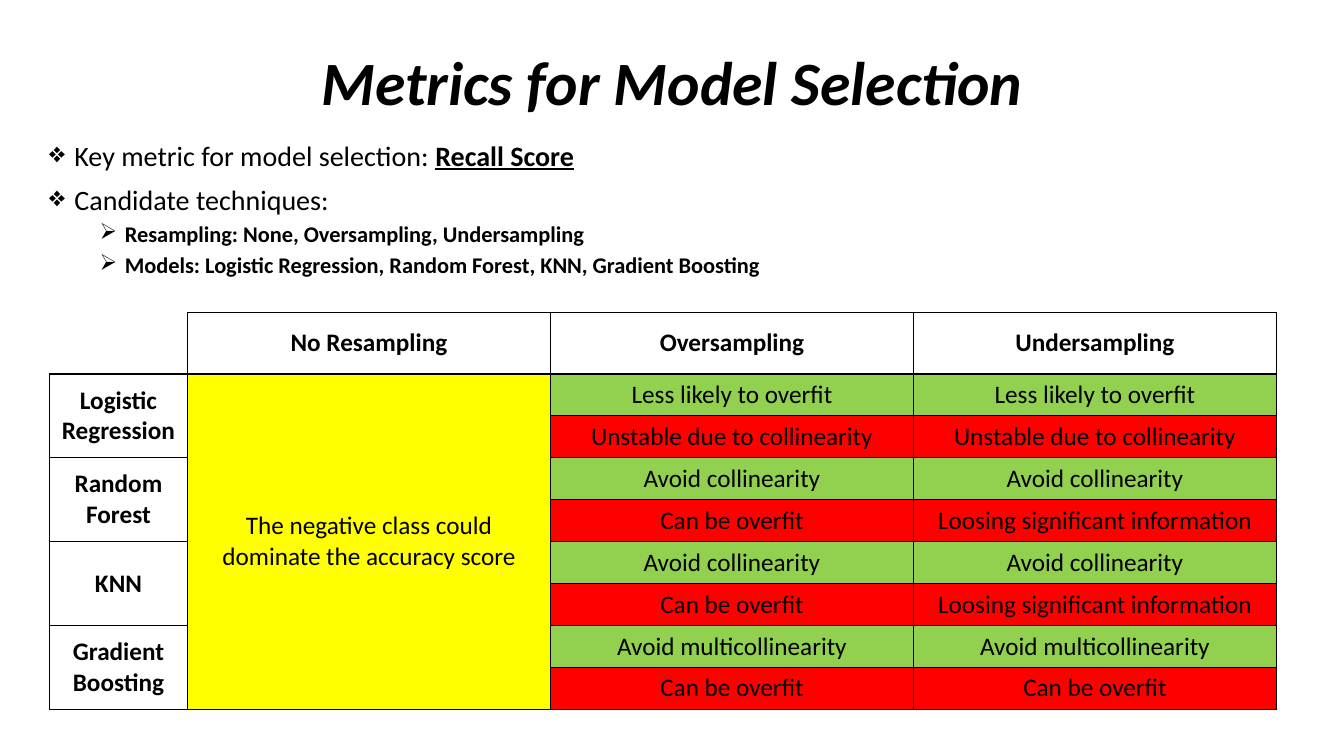
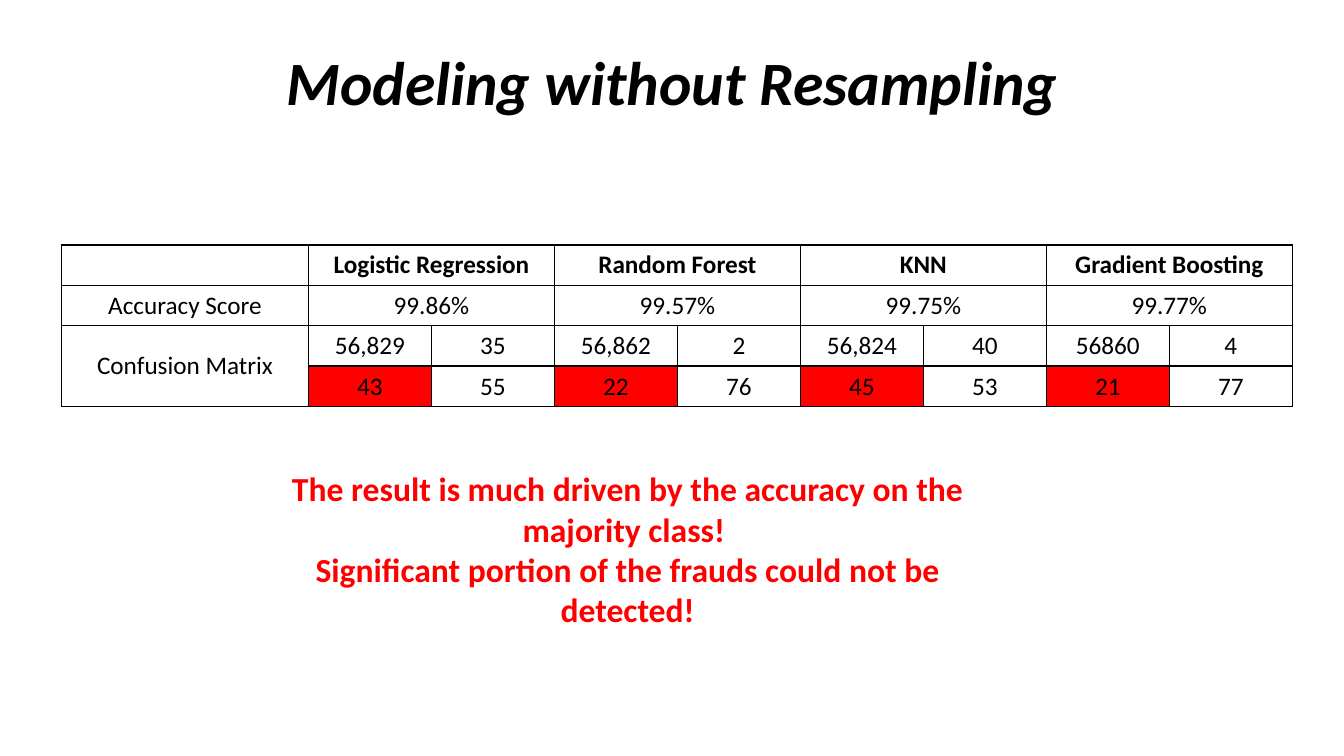
from lxml import etree
from pptx import Presentation, util as u
from pptx.dml.color import RGBColor
from pptx.enum import text as t
from pptx.oxml import ns

BLACK = RGBColor(0, 0, 0)
RED = RGBColor(255, 0, 0)
GREEN = RGBColor(0x92, 0xD0, 0x50)
YELLOW = RGBColor(255, 255, 0)
CENTER = t.PP_ALIGN.CENTER
MIDDLE = t.MSO_ANCHOR.MIDDLE
BASE = {"name": "Calibri", "size": u.Pt(18), "bold": False}


def write(para, words, color=BLACK, **form):
    run = para.add_run()
    run.text = words
    for key, value in {**BASE, **form}.items():
        setattr(run.font, key, value)
    run.font.color.rgb = color


def grid(page, left, top, cols, rows, cells, edges):
    frame = page.shapes.add_table(
        len(rows), len(cols), u.Inches(left), u.Inches(top),
        u.Inches(sum(cols)), u.Inches(sum(rows)))
    table = frame.table
    table.first_row = table.horz_banding = False
    for col, width in zip(table.columns, cols):
        col.width = u.Inches(width)
    for row, height in zip(table.rows, rows):
        row.height = u.Inches(height)
    for r in range(len(rows)):
        for c in range(len(cols)):
            cell = table.cell(r, c)
            props = cell._tc.get_or_add_tcPr()
            for side in "LRTB":
                line = etree.SubElement(props, ns.qn("a:ln" + side), w="12700")
                if side in edges.get((r, c), "LRTB"):
                    ink = etree.SubElement(line, ns.qn("a:solidFill"))
                    etree.SubElement(ink, ns.qn("a:srgbClr"), val=str(BLACK))
                else:
                    etree.SubElement(line, ns.qn("a:noFill"))
            cell.fill.background()
    for (r, c), (words, bold, fill, high, wide) in cells.items():
        cell = table.cell(r, c)
        if high * wide > 1:
            cell.merge(table.cell(r + high - 1, c + wide - 1))
        cell.vertical_anchor = MIDDLE
        if fill:
            cell.fill.solid()
            cell.fill.fore_color.rgb = fill
        para = cell.text_frame.paragraphs[0]
        para.alignment = CENTER
        write(para, words, bold=bold)


deck = Presentation()
deck.slide_width = u.Inches(13.33)
deck.slide_height = u.Inches(7.5)
pages = []
for title in ["Metrics for Model Selection", "Modeling without Resampling"]:
    page = deck.slides.add_slide(deck.slide_layouts[6])
    box = page.shapes.add_textbox(
        u.Inches(0.92), u.Inches(0.31), u.Inches(11.5), u.Inches(1.07))
    box.text_frame.word_wrap = True
    box.text_frame.vertical_anchor = MIDDLE
    para = box.text_frame.paragraphs[0]
    para.alignment = CENTER
    para.line_spacing = 0.9
    write(para, title, size=u.Pt(44), bold=True, italic=True)
    pages.append(page)
first, second = pages

models = ["Logistic Regression", "Random Forest", "KNN", "Gradient Boosting"]
ways = ["No Resampling", "Oversampling", "Undersampling"]

points = [
    (0, [("Key metric for model selection: ", {}),
         ("Recall Score", {"bold": True, "underline": True})]),
    (0, [("Candidate techniques:", {})]),
    (1, [("Resampling: None, Oversampling, Undersampling", {"bold": True})]),
    (1, [("Models: " + ", ".join(models), {"bold": True})]),
]
levels = [("❖", 0.25, 20, 10), ("➢", 0.75, 16, 5)]
box = first.shapes.add_textbox(
    u.Inches(0.39), u.Inches(1.36), u.Inches(12.03), u.Inches(1.6))
box.text_frame.word_wrap = True
for i, (level, runs) in enumerate(points):
    mark, indent, size, gap = levels[level]
    para = box.text_frame.add_paragraph() if i else box.text_frame.paragraphs[0]
    para.level = level
    para.line_spacing = 0.9
    para.space_before = u.Pt(gap)
    props = para._p.get_or_add_pPr()
    props.set("marL", str(u.Inches(indent)))
    props.set("indent", str(u.Inches(-0.25)))
    etree.SubElement(props, ns.qn("a:buChar"), char=mark)
    for words, form in runs:
        write(para, words, size=u.Pt(size), **form)

traits = [
    ("Less likely to overfit", "Less likely to overfit"),
    ("Unstable due to collinearity", "Unstable due to collinearity"),
    ("Avoid collinearity", "Avoid collinearity"),
    ("Can be overfit", "Loosing significant information"),
    ("Avoid collinearity", "Avoid collinearity"),
    ("Can be overfit", "Loosing significant information"),
    ("Avoid multicollinearity", "Avoid multicollinearity"),
    ("Can be overfit", "Can be overfit"),
]
cells = {(1, 1): ("The negative class could dominate the accuracy score",
                  False, YELLOW, 8, 1)}
for c, way in enumerate(ways, 1):
    cells[0, c] = (way, True, None, 1, 1)
for i, model in enumerate(models):
    cells[1 + 2 * i, 0] = (model, True, None, 2, 1)
for r, pair in enumerate(traits, 1):
    for c, words in enumerate(pair, 2):
        cells[r, c] = (words, False, GREEN if r % 2 else RED, 1, 1)
grid(first, 0.49, 3.1, [1.37] + [3.6] * 3, [0.61] + [0.416] * 8, cells,
     {(0, 0): "RB"})

scores = ["99.86%", "99.57%", "99.75%", "99.77%"]
counts = [
    ["56,829", "35", "56,862", "2", "56,824", "40", "56860", "4"],
    ["43", "55", "22", "76", "45", "53", "21", "77"],
]
cells = {(1, 0): ("Accuracy Score", False, None, 1, 1),
         (2, 0): ("Confusion Matrix", False, None, 2, 1)}
for i, (model, score) in enumerate(zip(models, scores)):
    cells[0, 1 + 2 * i] = (model, True, None, 1, 2)
    cells[1, 1 + 2 * i] = (score, False, None, 1, 2)
for r, row in enumerate(counts, 2):
    for c, count in enumerate(row, 1):
        missed = r == 3 and c % 2
        cells[r, c] = (count, False, RED if missed else None, 1, 1)
grid(second, 0.61, 2.43, [2.45] + [1.22] * 8, [0.4] * 4, cells, {})

box = second.shapes.add_textbox(
    u.Inches(2.4), u.Inches(4.88), u.Inches(7.65), u.Inches(1.13))
box.text_frame.word_wrap = True
box.text_frame.vertical_anchor = MIDDLE
notes = [
    "The result is much driven by the accuracy on the majority class! ",
    "Significant portion of the frauds could not be detected!",
]
for i, words in enumerate(notes):
    para = box.text_frame.add_paragraph() if i else box.text_frame.paragraphs[0]
    para.alignment = CENTER
    write(para, words, RED, size=u.Pt(24), bold=True)

deck.save("out.pptx")
